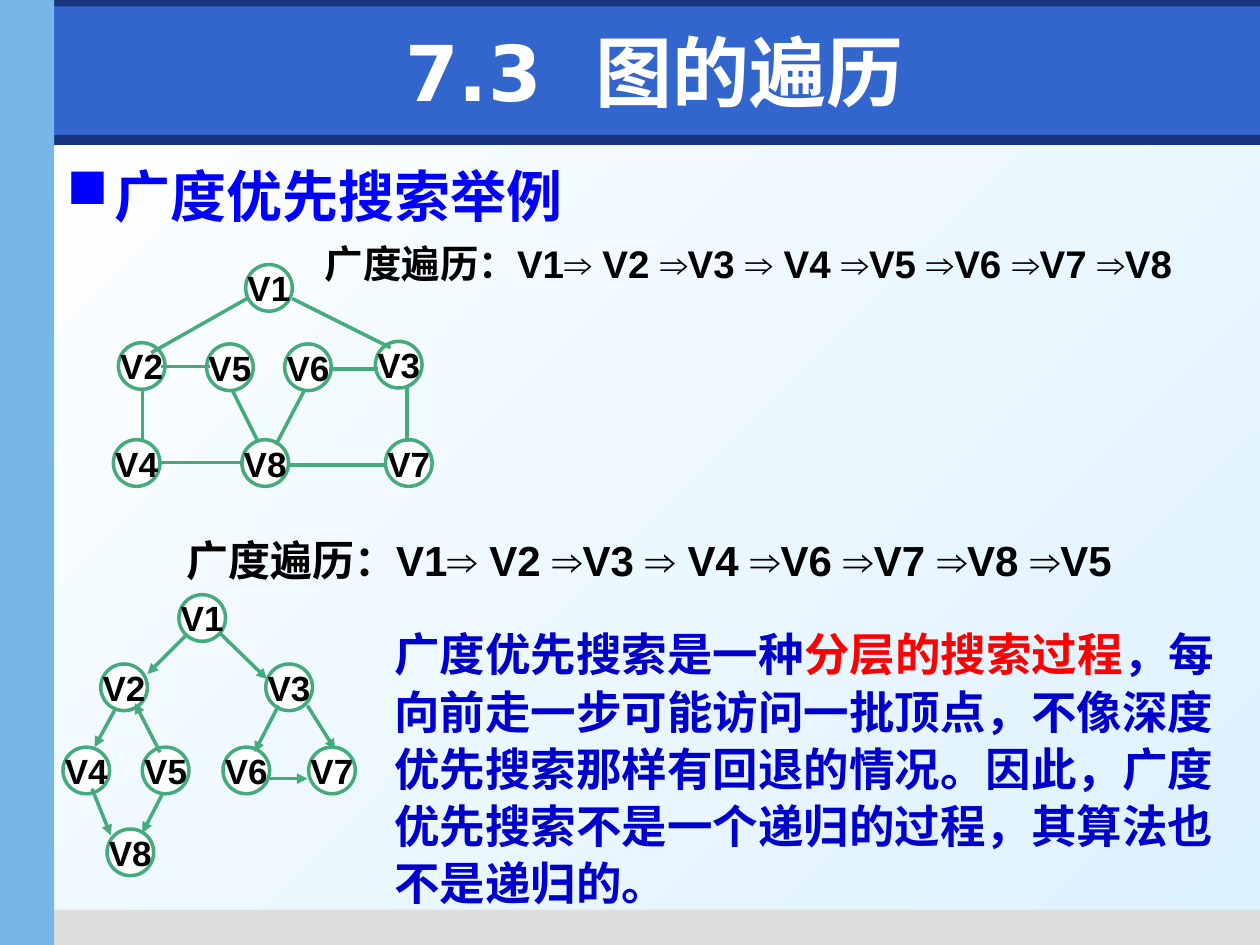
import pptx
import pptx.util
import pptx.dml.color
import pptx.enum.shapes
import pptx.enum.text
import pptx.oxml
import pptx.oxml.ns
import lxml.etree

COLS, ROWS = 1000, 750
NODE = 37
GREEN, BLACK, WHITE, BLUE = "45AB7D", "000000", "FFFFFF", "0000FF"
NAVY, DEEP, RED = "17347D", "0000CC", "FF0000"

BANDS = [
    ((0, 107, 1000, 8), NAVY),
    ((35, 722, 965, 28), "DDDDDD"),
    ((0, 0, 1000, 21), NAVY),
    ((43, 5, 957, 102), "3366CC"),
    ((0, 0, 43, 750), "77B7E7"),
]

PLAIN = {
    "nodes": {
        "V1": (195, 210), "V2": (94, 272), "V4": (90, 349), "V5": (164, 273),
        "V3": (298, 271), "V7": (306, 349), "V6": (226, 273), "V8": (192, 349),
    },
    "edges": [
        (196, 237, 120, 280), (232, 237, 310, 276), (128, 291, 167, 291),
        (261, 293, 300, 293), (113, 309, 113, 351), (126, 367, 194, 367),
        (230, 369, 306, 369), (323, 307, 323, 351), (184, 309, 205, 351),
        (242, 309, 219, 353),
    ],
    "arrow": False,
    "order": ("广度遍历：V1⇒ V2 ⇒V3 ⇒ V4 ⇒V5 ⇒V6 ⇒V7 ⇒V8", (248, 186, 758, 47), 22),
}
DIRECT = {
    "nodes": {
        "V1": (142, 472), "V2": (80, 527), "V4": (50, 593), "V5": (113, 593),
        "V3": (211, 527), "V7": (245, 593), "V6": (177, 593), "V8": (85, 658),
    },
    "edges": [
        (148, 504, 117, 535), (175, 503, 212, 539), (92, 562, 75, 593),
        (127, 597, 107, 558), (73, 626, 88, 663), (129, 630, 113, 661),
        (221, 560, 202, 597), (213, 618, 244, 618), (244, 560, 266, 595),
    ],
    "arrow": True,
    "order": ("广度遍历：V1⇒ V2 ⇒V3 ⇒ V4 ⇒V6 ⇒V7 ⇒V8 ⇒V5", (138, 419, 826, 50), 24),
}
SUMMARY = [
    ("广度优先搜索是一种", DEEP),
    ("分层的搜索过程", RED),
    ("，每向前走一步可能访问一批顶点，不像深度优先搜索那样有回退的情况。"
     "因此，广度优先搜索不是一个递归的过程，其算法也不是递归的。", DEEP),
]

deck = pptx.Presentation()
deck.slide_width = pptx.util.Inches(10)
deck.slide_height = pptx.util.Inches(7.5)
slide = deck.slides.add_slide(deck.slide_layouts[6])


def grid(*cells):
    return [round(cell * deck.slide_width / COLS) for cell in cells]


def tint(code):
    return pptx.dml.color.RGBColor.from_string(code)


def add_xml(parent, tag, **attrs):
    return lxml.etree.SubElement(parent, pptx.oxml.ns.qn(tag), attrs)


def style(para, size, color, font="Arial"):
    para.font.size = pptx.util.Pt(size)
    para.font.bold = True
    para.font.name = font
    para.font.color.rgb = tint(color)


def add_shape(home, kind, box, fill, line=None):
    shape = home.add_shape(kind, *grid(*box))
    shape.shadow.inherit = False
    shape.fill.solid()
    shape.fill.fore_color.rgb = tint(fill)
    if line:
        shape.line.color.rgb = tint(line)
        shape.line.width = pptx.util.Pt(2)
    else:
        shape.line.fill.background()
    return shape


def add_node(home, name, spot):
    oval = pptx.enum.shapes.MSO_SHAPE.OVAL
    frame = add_shape(home, oval, (*spot, NODE, NODE), WHITE, GREEN).text_frame
    frame.word_wrap = False
    frame.vertical_anchor = pptx.enum.text.MSO_ANCHOR.MIDDLE
    para = frame.paragraphs[0]
    para.alignment = pptx.enum.text.PP_ALIGN.CENTER
    para.add_run().text = name
    style(para, 20, BLACK)


def add_edge(home, ends, arrow):
    straight = pptx.enum.shapes.MSO_CONNECTOR.STRAIGHT
    edge = home.add_connector(straight, *grid(*ends))
    edge.line.color.rgb = tint(GREEN)
    edge.line.width = pptx.util.Pt(2)
    if arrow:
        add_xml(edge.line._get_or_add_ln(), "a:tailEnd", type="triangle")
    add_xml(edge._element.spPr, "a:effectLst")


def add_text(text, box, size, color, font="Arial", wrap=True):
    frame = slide.shapes.add_textbox(*grid(*box)).text_frame
    frame.word_wrap = wrap
    para = frame.paragraphs[0]
    if text:
        para.add_run().text = text
    style(para, size, color, font)
    return frame, para


def add_graph(graph):
    group = slide.shapes.add_group_shape().shapes
    for name, spot in graph["nodes"].items():
        add_node(group, name, spot)
    for ends in graph["edges"]:
        add_edge(group, ends, graph["arrow"])
    text, box, size = graph["order"]
    add_text(text, box, size, BLACK, wrap=False)


back = slide.background.fill
back.gradient()
back.gradient_angle = 315
for stop, code, place in zip(back.gradient_stops, (WHITE, "DDF2FF"), (0, 1)):
    stop.color.rgb = tint(code)
    stop.position = place

for box, fill in BANDS:
    add_shape(slide.shapes, pptx.enum.shapes.MSO_SHAPE.RECTANGLE, box, fill)

frame, para = add_text("7.3  图的遍历", (59, 13, 921, 87), 44, WHITE, "DejaVu Sans")
frame.vertical_anchor = pptx.enum.text.MSO_ANCHOR.MIDDLE
para.alignment = pptx.enum.text.PP_ALIGN.CENTER

frame, para = add_text("广度优先搜索举例", (43, 123, 937, 70), 32, BLUE)
props = para._p.get_or_add_pPr()
indent = grid(38)[0]
props.set("marL", str(indent))
props.set("indent", str(-indent))
mark = pptx.oxml.parse_xml(
    f'<a:buClr {pptx.oxml.ns.nsdecls("a")}><a:srgbClr val="{BLUE}"/></a:buClr>')
props.insert(0, mark)
sign = add_xml(props, "a:buChar", char="■")
mark.addnext(sign)

add_graph(PLAIN)
add_graph(DIRECT)

frame, para = add_text("", (303, 490, 677, 240), 26, DEEP, "Noto Sans CJK SC")
para.line_spacing = 1.05
for words, code in SUMMARY:
    run = para.add_run()
    run.text = words
    run.font.color.rgb = tint(code)

deck.save("out.pptx")
